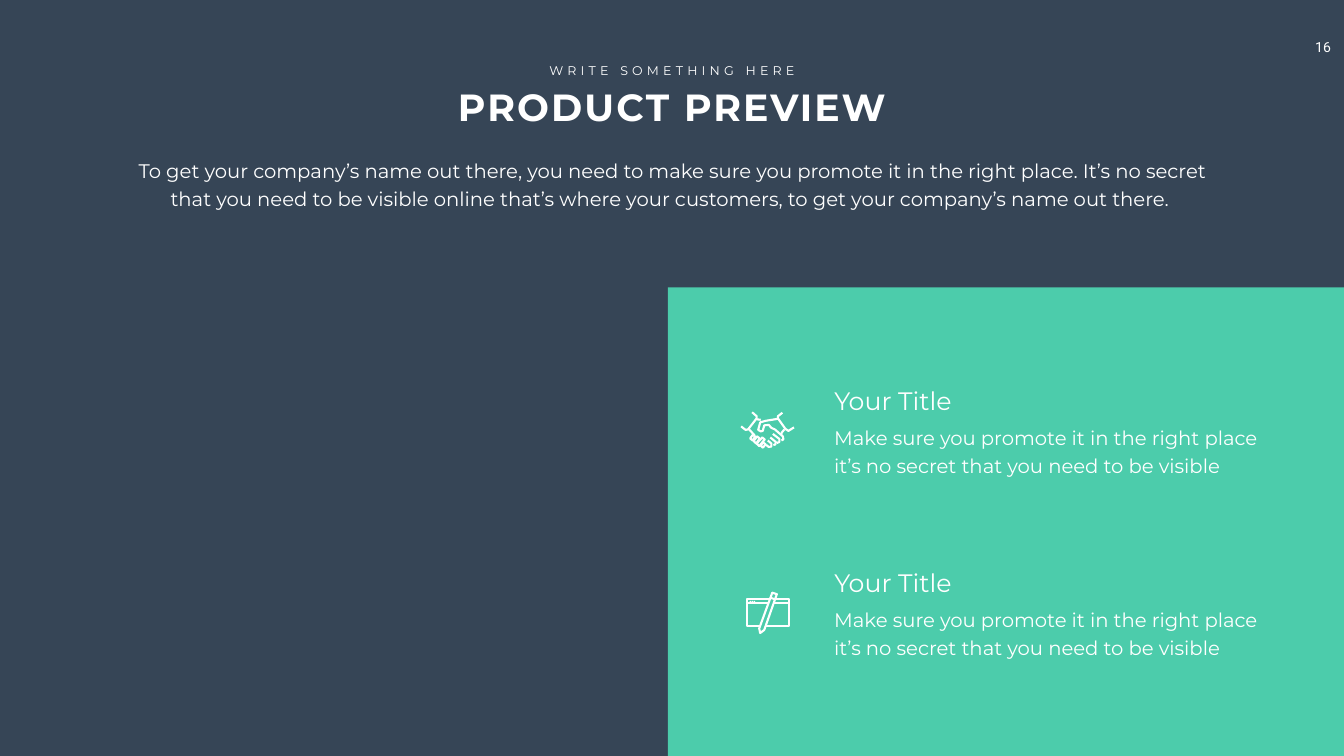
from pptx import Presentation
from pptx import util as u
from pptx.dml.color import RGBColor
from pptx.enum import shapes, text

WIDTH, HEIGHT = 26.66, 15
NAVY, GREEN, WHITE = "364556", "4CCCAB", "FFFFFF"
FONT = "Montserrat"
LEADING = 40.8
TEXT_LEFT, FIRST_ROW, ROW_STEP = 16.45, 7.59, 3.61

# Icon strokes, in hundredths of an inch from the icon's corner
HANDSHAKE = [
    [(2, 31), (11, 38), (16, 37), (33, 15), (33, 11), (24, 3)],
    [(84, 4), (75, 11), (75, 15), (90, 36), (96, 40), (107, 33)],
    [(33, 17), (41, 18)],
    [(75, 16), (51, 20), (40, 23), (36, 38), (41, 41), (45, 40), (48, 29),
     (57, 28), (62, 34), (69, 37), (85, 51), (86, 57), (82, 59)],
    [(18, 37), (29, 49)],
    [(88, 37), (83, 43), (81, 48)],
    [(65, 46), (78, 56), (78, 62), (73, 64)],
    [(60, 53), (71, 62), (70, 67), (66, 68)],
    [(55, 59), (62, 65), (62, 71), (57, 72), (52, 68)],
    [(25, 48), (30, 51), (25, 59), (20, 55), (25, 48)],
    [(34, 51), (39, 55), (32, 65), (27, 60), (34, 51)],
    [(44, 53), (49, 57), (38, 70), (33, 65), (44, 53)],
    [(46, 63), (51, 67), (45, 73), (41, 69), (46, 63)],
]
BROWSER_AND_PENCIL = [
    [(59, 15), (86, 15), (86, 70), (38, 70)],
    [(28, 70), (2, 70), (2, 15), (48, 15)],
    [(2, 24), (45, 24)],
    [(56, 24), (86, 24)],
    [(53, 3), (62, 6), (37, 77), (29, 83), (27, 74), (53, 3)],
    [(49, 13), (58, 16)],
]

ITEM_TITLE = "Your Title"
ITEM_TEXT = ("Make sure you promote it in the right place it’s no secret "
             "that you need to be visible")
ITEMS = [(HANDSHAKE, 14.68, 0.56), (BROWSER_AND_PENCIL, 14.79, 0.53)]
INTRO = ("To get your company’s name out there, you need to make sure you "
         "promote it in the right place. It’s no secret that you need to be "
         "visible online that’s where your customers, to get your company’s "
         "name out there. ")


def color(value):
    return RGBColor.from_string(value)


def write(box, words, size, font=FONT, bold=False, centered=False,
          tracking=0, leading=None, wrap=True):
    frame = box.text_frame
    frame.word_wrap = wrap
    frame.auto_size = text.MSO_AUTO_SIZE.NONE
    frame.vertical_anchor = text.MSO_ANCHOR.TOP
    para = frame.paragraphs[0]
    span = para.add_run()
    span.text = words
    if tracking:
        span._r.get_or_add_rPr().set("spc", str(tracking * 100))
    para.alignment = text.PP_ALIGN.CENTER if centered else text.PP_ALIGN.LEFT
    if leading:
        para.line_spacing = u.Pt(leading)
    para.font.name = font
    para.font.size = u.Pt(size)
    para.font.bold = bold
    para.font.color.rgb = color(WHITE)


def add_text(slide, left, top, width, height, words, size, **style):
    area = [u.Inches(n) for n in (left, top, width, height)]
    write(slide.shapes.add_textbox(*area), words, size, **style)


def add_title(slide, left, top, width, height, words, size, **style):
    title = slide.shapes.title
    title.left, title.top = u.Inches(left), u.Inches(top)
    title.width, title.height = u.Inches(width), u.Inches(height)
    write(title, words, size, **style)


def add_filled(slide, kind, left, top, width, height, fill):
    area = [u.Inches(n) for n in (left, top, width, height)]
    shape = slide.shapes.add_shape(kind, *area)
    shape.shadow.inherit = False
    shape.fill.solid()
    shape.fill.fore_color.rgb = color(fill)
    shape.line.fill.background()


def add_icon(slide, left, top, strokes):
    first, *others = strokes
    pen = slide.shapes.build_freeform(*first[0], scale=u.Inches(0.01))
    pen.add_line_segments(first[1:], close=False)
    for start, *points in others:
        pen.move_to(*start)
        pen.add_line_segments(points, close=False)
    icon = pen.convert_to_shape(u.Inches(left), u.Inches(top))
    icon.shadow.inherit = False
    icon.fill.background()
    icon.line.color.rgb = color(WHITE)
    icon.line.width = u.Pt(3)


def add_item(slide, top, strokes, icon_left, icon_drop):
    add_icon(slide, icon_left, top + icon_drop, strokes)
    add_text(slide, TEXT_LEFT, top, 4.81, 0.71, ITEM_TITLE, 36)
    add_text(slide, TEXT_LEFT, top + 0.71, 8.77, 1.2, ITEM_TEXT, 28,
             leading=LEADING)


def main():
    deck = Presentation()
    deck.slide_width, deck.slide_height = u.Inches(WIDTH), u.Inches(HEIGHT)
    slide = deck.slides.add_slide(deck.slide_layouts.get_by_name("Title Only"))
    slide.background.fill.solid()
    slide.background.fill.fore_color.rgb = color(NAVY)

    add_text(slide, 25.79, 0.71, 0.91, 0.54, "16", 20, font="Roboto",
             centered=True, wrap=False)
    add_text(slide, 10.74, 1.2, 5.18, 0.4, "WRITE SOMETHING HERE", 18,
             centered=True, tracking=6, wrap=False)
    add_title(slide, 7.37, 1.61, 11.92, 1.01, "PRODUCT PREVIEW", 54,
              bold=True, centered=True, tracking=3)
    add_text(slide, 2.33, 3, 22.01, 1.2, INTRO, 28, centered=True,
             leading=LEADING)

    add_filled(slide, shapes.MSO_SHAPE.RECTANGLE, 13.25, 5.7,
               WIDTH - 13.25, HEIGHT - 5.7, GREEN)
    for row, item in enumerate(ITEMS):
        add_item(slide, FIRST_ROW + row * ROW_STEP, *item)
    for button in range(3):
        add_filled(slide, shapes.MSO_SHAPE.OVAL, 14.87 + button * 0.04, 11.92,
                   0.03, 0.03, WHITE)
    deck.save("out.pptx")


if __name__ == "__main__":
    main()
